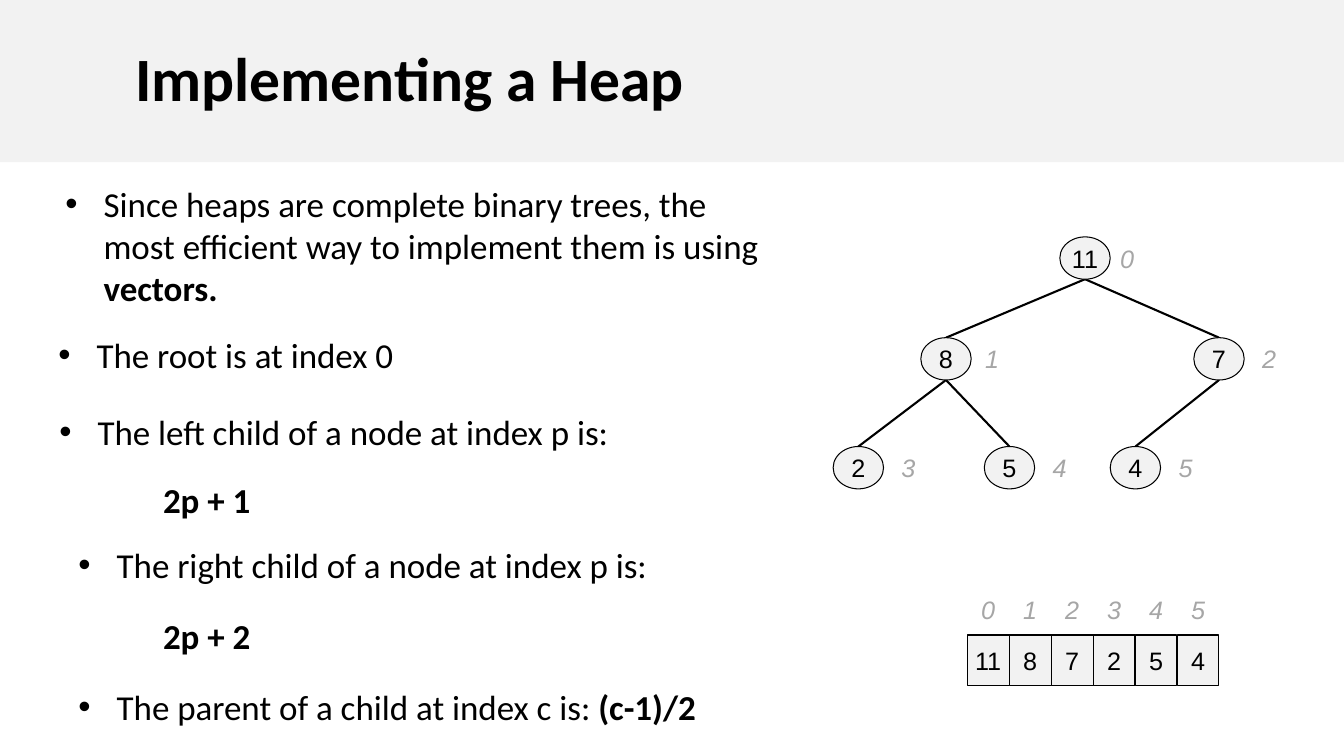
from dataclasses import dataclass

from lxml import etree
from pptx import Presentation, util as u
from pptx.dml.color import RGBColor
from pptx.enum import shapes, text
from pptx.oxml import ns


@dataclass(frozen=True)
class Theme:
    """Colours, fonts and sizes of the slide."""
    ink: RGBColor = RGBColor(0, 0, 0)
    panel: RGBColor = RGBColor(0xF2, 0xF2, 0xF2)
    index: RGBColor = RGBColor(0xA6, 0xA6, 0xA6)
    body_font: str = "Calibri"
    diagram_font: str = "Arial"
    title_size: int = 44
    body_size: int = 25
    diagram_size: int = 18
    edge_width: float = 1.5
    outline_width: float = 0.75


THEME = Theme()
TITLE = dict(name=THEME.body_font, size=u.Pt(THEME.title_size), bold=True)
BODY = dict(name=THEME.body_font, size=u.Pt(THEME.body_size))
STRONG = dict(BODY, bold=True)
VALUE = dict(name=THEME.diagram_font, size=u.Pt(THEME.diagram_size))
INDEX = dict(VALUE, italic=True)
CENTRED = dict(word_wrap=False, vertical_anchor=text.MSO_ANCHOR.MIDDLE)
HEAP = [11, 8, 7, 2, 5, 4]


def apply(target, values):
    """Set each named attribute on the target."""
    for name, value in values.items():
        setattr(target, name, value)


def inches(*lengths):
    """Convert lengths to inches."""
    return [u.Inches(length) for length in lengths]


def write(paragraph, runs, color=THEME.ink):
    """Add formatted runs to a paragraph."""
    for words, style in runs:
        run = paragraph.add_run()
        run.text = words
        apply(run.font, style)
        run.font.color.rgb = color


def add_bullet(paragraph):
    """Give a paragraph a hanging round bullet."""
    properties = paragraph._p.get_or_add_pPr()
    properties.set("marL", str(u.Inches(0.38)))
    properties.set("indent", str(u.Inches(-0.38)))
    color = etree.SubElement(properties, ns.qn("a:buClr"))
    etree.SubElement(color, ns.qn("a:srgbClr"), val=str(THEME.ink))
    etree.SubElement(properties, ns.qn("a:buFont"), typeface="Arial")
    etree.SubElement(properties, ns.qn("a:buChar"), char="•")


def add_title(slide, box):
    """Place the title over its full-width band."""
    title = slide.shapes.title
    apply(title, dict(zip(("left", "top", "width", "height"), inches(*box))))
    title.fill.solid()
    title.fill.fore_color.rgb = THEME.panel
    apply(title.text_frame, dict(
        margin_left=u.Inches(1.34), word_wrap=True,
        auto_size=text.MSO_AUTO_SIZE.NONE,
        vertical_anchor=text.MSO_ANCHOR.MIDDLE))
    paragraph = title.text_frame.paragraphs[0]
    apply(paragraph, dict(alignment=text.PP_ALIGN.LEFT, line_spacing=0.9))
    write(paragraph, [("Implementing a Heap", TITLE)])


def add_explanation(slide, box):
    """Place the bulleted rules and their formulas."""
    left, top, width = box
    formula_width = 1.56
    lines = [
        (0.07, 0, 1.35, True, [
            ("Since heaps are complete binary trees, the most efficient way "
             "to implement them is using ", BODY), ("vectors.", STRONG)]),
        (0, 1.5, 0.52, True, [("The root is at index 0", BODY)]),
        (0.01, 2.26, 0.52, True,
         [("The left child of a node at index p is:", BODY)]),
        (1.04, 2.94, 0.52, False, [("2p + 1", STRONG)]),
        (0.2, 3.58, 0.52, True,
         [("The right child of a node at index p is:", BODY)]),
        (1.04, 4.29, 0.52, False, [("2p + 2", STRONG)]),
        (0.2, 4.99, 0.52, True,
         [("The parent of a child at index c is: ", BODY),
          ("(c-1)/2", STRONG)]),
    ]
    for x, y, height, bulleted, runs in lines:
        line_width = width if bulleted else formula_width
        frame = slide.shapes.add_textbox(
            *inches(left + x, top + y, line_width, height)).text_frame
        apply(frame, dict(word_wrap=True,
                          auto_size=text.MSO_AUTO_SIZE.SHAPE_TO_FIT_TEXT))
        if bulleted:
            add_bullet(frame.paragraphs[0])
        write(frame.paragraphs[0], runs)


def add_value(slide, kind, box, value):
    """Draw an outlined shape holding one heap value."""
    shape = slide.shapes.add_shape(kind, *inches(*box))
    shape.shadow.inherit = False
    shape.fill.solid()
    shape.fill.fore_color.rgb = THEME.panel
    shape.line.color.rgb = THEME.ink
    shape.line.width = u.Pt(THEME.outline_width)
    apply(shape.text_frame, CENTRED)
    paragraph = shape.text_frame.paragraphs[0]
    paragraph.alignment = text.PP_ALIGN.CENTER
    write(paragraph, [(str(value), VALUE)])


def add_index(slide, box, index):
    """Write one grey vector index."""
    frame = slide.shapes.add_textbox(*inches(*box)).text_frame
    apply(frame, CENTRED)
    paragraph = frame.paragraphs[0]
    paragraph.alignment = text.PP_ALIGN.CENTER
    write(paragraph, [(str(index), INDEX)], THEME.index)


def add_edge(slide, start, end):
    """Draw a line from a parent to a child."""
    edge = slide.shapes.add_connector(
        shapes.MSO_CONNECTOR.STRAIGHT, *inches(*start, *end))
    edge.line.color.rgb = THEME.ink
    edge.line.width = u.Pt(THEME.edge_width)
    etree.SubElement(edge._element.spPr, ns.qn("a:effectLst"))


def add_tree(slide, box):
    """Draw the heap as a binary tree with indexed nodes."""
    left, top = box
    width, height, index_width = 0.5, 0.42, 0.33
    offsets = [(2.25, 0), (0.87, 1), (3.58, 1),
               (0, 2.08), (1.5, 2.08), (2.75, 2.08)]
    index_gaps = [0, 0.04, 0.08, 0.08, 0.08, 0.08]
    nodes = [(left + x, top + y) for x, y in offsets]
    for child in range(1, len(nodes)):
        parent_x, parent_y = nodes[(child - 1) // 2]
        child_x, child_y = nodes[child]
        add_edge(slide, (parent_x + width / 2, parent_y + height),
                 (child_x + width / 2, child_y))
    for index, ((x, y), gap, value) in enumerate(zip(nodes, index_gaps, HEAP)):
        add_value(slide, shapes.MSO_SHAPE.OVAL, (x, y, width, height), value)
        add_index(slide, (x + width + gap, y, index_width, height), index)


def add_vector(slide, box):
    """Draw the heap as a row of cells below their indices."""
    left, top, width, height = box
    cell_width, row_height = width / len(HEAP), height / 2
    for index, value in enumerate(HEAP):
        x = left + index * cell_width
        add_index(slide, (x, top, cell_width, row_height), index)
        add_value(slide, shapes.MSO_SHAPE.RECTANGLE,
                  (x, top + row_height, cell_width, row_height), value)


def main():
    """Build and save the heap slide."""
    presentation = Presentation()
    apply(presentation, dict(slide_width=u.Inches(13.34),
                             slide_height=u.Inches(7.5)))
    slide = presentation.slides.add_slide(presentation.slide_layouts[5])
    add_title(slide, (0, 0, 13.34, 1.61))
    add_explanation(slide, (0.48, 1.76, 7.19))
    add_tree(slide, (8.27, 2.35))
    add_vector(slide, (9.6, 5.8, 2.5, 1))
    presentation.save("out.pptx")


if __name__ == "__main__":
    main()
